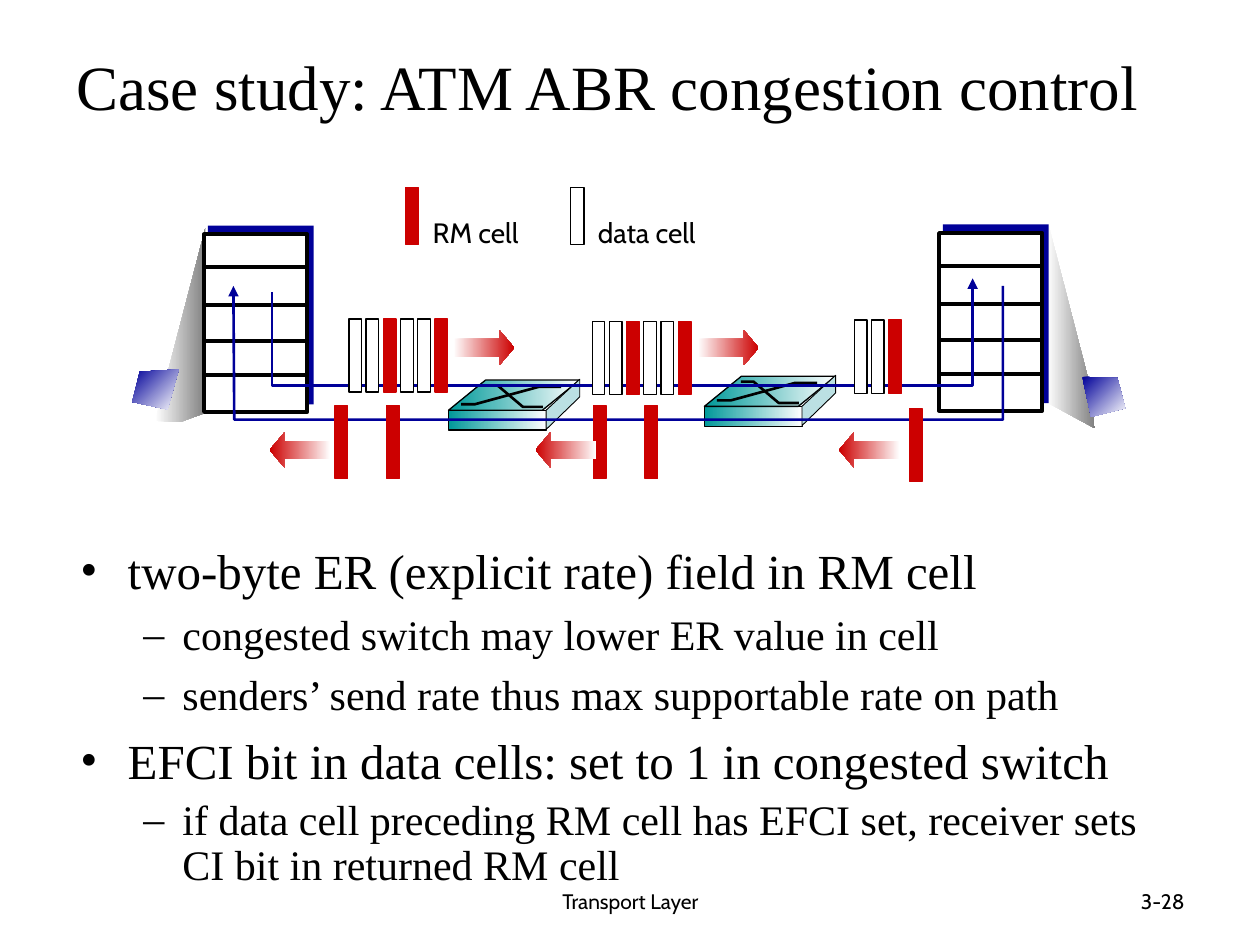
from typing import NamedTuple, Optional

from lxml.etree import SubElement
from pptx import Presentation
from pptx.dml.color import RGBColor as Rgb
from pptx.enum.shapes import MSO_CONNECTOR as Connector, MSO_SHAPE as Preset
from pptx.enum.text import MSO_ANCHOR as Anchor, MSO_AUTO_SIZE as AutoSize, PP_ALIGN as Align
from pptx.oxml.ns import qn
from pptx.util import Pt

COLORS = {
    "black": "000000", "white": "FFFFFF", "red": "CC0000", "navy": "000099",
    "teal": "009999", "pale": "BBE0E3", "gray": "808080",
}
SERIF, SANS = "Times New Roman", "Cabin"


class Look(NamedTuple):
    fill: Optional[str] = None
    fade_to: Optional[str] = None
    angle: int = 0
    line: Optional[str] = None
    width: float = 0.75


class Point(NamedTuple):
    x: float
    y: float


class CellRow(NamedTuple):
    left: float
    top: float
    cells: str


class Bullet(NamedTuple):
    text: str
    level: int
    before: float
    spacing: float = 1.0


RM_LOOK = Look("red", line="red")
DATA_LOOK = Look("white", line="black")
METAL = Look("teal", "white", line="black")
SHADE = Look("white", "gray")
FLAG = Look("navy", "white", 315)
ARROW = Look("white", "red")
WIRE = Look(line="navy", width=1.5)

SWITCHES = [Point(402.5, 215), Point(256.3, 217.2)]
FORWARD_ROWS = [CellRow(199.4, 182.2, "DDRDDR"), CellRow(338.4, 183.6, "DDRDDR"),
                CellRow(488.2, 182.9, "DDR")]
RETURN_ROWS = [CellRow(519.8, 233.3, "R"), CellRow(339.1, 231.8, "R  R"),
               CellRow(191.5, 231.8, "R  R")]
FORWARD_ARROWS = [Point(259.2, 188.6), Point(398.9, 188.6)]
RETURN_ARROWS = [Point(154.1, 247), Point(306, 247), Point(479.5, 247)]
BULLETS = [
    Bullet("two-byte ER (explicit rate) field in RM cell", 0, 0),
    Bullet("congested switch may lower ER value in cell", 1, 5.5),
    Bullet("senders’ send rate thus max supportable rate on path", 1, 5.5),
    Bullet("EFCI bit in data cells: set to 1 in congested switch", 0, 6.4),
    Bullet("if data cell preceding RM cell has EFCI set, receiver sets CI bit in "
           "returned RM cell", 1, 5.5, 0.9),
]


def color(name: str) -> Rgb:
    return Rgb.from_string(COLORS[name])


def dress(shape, look: Look):
    shape.shadow.inherit = False
    if look.fade_to:
        shape.fill.gradient()
        shape.fill.gradient_angle = look.angle
        for stop, name in zip(shape.fill.gradient_stops, (look.fill, look.fade_to)):
            stop.color.rgb = color(name)
            stop.position = 0 if name == look.fill else 1
    elif look.fill:
        shape.fill.solid()
        shape.fill.fore_color.rgb = color(look.fill)
    else:
        shape.fill.background()
    if look.line:
        shape.line.color.rgb = color(look.line)
        shape.line.width = Pt(look.width)
    else:
        shape.line.fill.background()
    return shape


def preset(page, kind, left: float, top: float, width: float, height: float, look: Look):
    shape = page.shapes.add_shape(kind, Pt(left), Pt(top), Pt(width), Pt(height))
    return dress(shape, look)


def outline(page, points, look: Look, origin: Point = Point(0, 0)):
    corners = [(Pt(origin.x + x), Pt(origin.y + y)) for x, y in points]
    builder = page.shapes.build_freeform(*corners[0])
    builder.add_line_segments(corners[1:], close=look.fill is not None)
    return dress(builder.convert_to_shape(), look)


def rule(page, left: float, right: float, y: float) -> None:
    line = page.shapes.add_connector(Connector.STRAIGHT, Pt(left), Pt(y), Pt(right), Pt(y))
    line.line.color.rgb = color("black")
    line.line.width = Pt(2.25)
    SubElement(line._element.spPr, qn("a:effectLst"))


def write(para, text: str, *, size: float, font: str = SANS, align=Align.LEFT) -> None:
    para.alignment = align
    span = para.add_run()
    span.text = text
    span.font.size = Pt(size)
    span.font.name = font
    span.font.color.rgb = color("black")


def text_box(page, left: float, top: float, width: float, height: float,
             wrap: bool = True, anchor=Anchor.TOP):
    box = page.shapes.add_textbox(Pt(left), Pt(top), Pt(width), Pt(height))
    box.text_frame.word_wrap = wrap
    box.text_frame.vertical_anchor = anchor
    return box.text_frame


def draw_switch(page, origin: Point) -> None:
    preset(page, Preset.RECTANGLE, origin.x, origin.y + 17.2, 56, 11.4, METAL)
    top = preset(page, Preset.PARALLELOGRAM, origin.x, origin.y, 74.8, 17.2, METAL)
    top.adjustments[0] = 1.23
    outline(page, [(55.8, 17.2), (55.8, 28.2), (75, 9.6), (75, -0.5)],
            Look("pale", line="black", width=0.5), origin)
    stroke = Look(line="black", width=1.5)
    outline(page, [(7.2, 13.8), (15.1, 13.8), (51.8, 3.8), (64.4, 3.8)], stroke, origin)
    outline(page, [(20.9, 3.1), (28.1, 3.1), (42.5, 15.3), (54, 15.3)], stroke, origin)


def draw_tower(page, left: float, top: float) -> None:
    preset(page, Preset.RECTANGLE, left + 2.2, top - 5, 60.5, 102.2, Look("navy"))
    preset(page, Preset.RECTANGLE, left, top, 59, 101.5,
           Look("white", line="black", width=2.25))
    for drop in (18.7, 40.3, 61.2, 80.6):
        rule(page, left, left + 58.6, top + drop)


def draw_wire(page, points, arrow_end: str) -> None:
    wire = outline(page, points, WIRE)
    SubElement(wire.line._get_or_add_ln(), qn("a:" + arrow_end), type="triangle")


def draw_cells(page, row: CellRow) -> None:
    for index, kind in enumerate(row.cells):
        if kind != " ":
            preset(page, Preset.RECTANGLE, row.left + index * 9.85, row.top, 7.2, 41.8,
                   RM_LOOK if kind == "R" else DATA_LOOK)


def draw_arrow(page, place: Point, rotation: int = 0) -> None:
    arrow = preset(page, Preset.RIGHT_ARROW, place.x, place.y, 34.6, 20.2, ARROW)
    arrow.adjustments[1] = 0.42
    arrow.rotation = rotation


def draw_legend(page, left: float, width: float, text: str, look: Look) -> None:
    preset(page, Preset.RECTANGLE, left, 107.3, 7.6, 32.4, look)
    frame = text_box(page, left + 8.4, 119.5, width, 26.6, wrap=False)
    frame.auto_size = AutoSize.SHAPE_TO_FIT_TEXT
    write(frame.paragraphs[0], text, size=16)


def draw_bullets(page) -> None:
    frame = text_box(page, 38.9, 305.3, 633.6, 196.6)
    for index, item in enumerate(BULLETS):
        para = frame.add_paragraph() if index else frame.paragraphs[0]
        margin, hang, mark, size = ((27, 27, "•", 28), (58.3, 22.3, "–", 24))[item.level]
        para.level = item.level
        para.space_before = Pt(item.before)
        para.line_spacing = item.spacing
        props = para._p.get_or_add_pPr()
        props.set("marL", str(Pt(margin)))
        props.set("indent", str(-Pt(hang)))
        SubElement(props, qn("a:buFont"), typeface=SERIF)
        SubElement(props, qn("a:buChar"), char=mark)
        write(para, item.text, size=size, font=SERIF)


def main() -> None:
    deck = Presentation()
    deck.slide_width, deck.slide_height = Pt(720), Pt(540)
    page = deck.slides.add_slide(deck.slide_layouts[5])

    title = page.shapes.title
    title.left, title.top, title.width, title.height = Pt(32.4), Pt(11.5), Pt(629.3), Pt(74.9)
    title.text_frame.vertical_anchor = Anchor.MIDDLE
    write(title.text_frame.paragraphs[0], "Case study: ATM ABR congestion control",
          size=36, font=SERIF, align=Align.CENTER)
    draw_bullets(page)

    for place in SWITCHES:
        draw_switch(page, place)
    outline(page, [(88.6, 240.5), (117.4, 130.3), (116.6, 236.2), (103, 241.2)], SHADE)
    draw_tower(page, 116.6, 133.9)
    outline(page, [(622.8, 220.3), (598.3, 125.3), (599, 230.4), (625.7, 244.8)], SHADE)
    draw_tower(page, 536.6, 133.2)
    draw_wire(page, [(155.5, 167), (155.5, 220.3), (555.8, 220.3), (555.8, 159.1)], "tailEnd")
    draw_wire(page, [(133.4, 163.4), (133.9, 239.8), (573.1, 239.8), (573.1, 163.4)], "headEnd")

    for row in FORWARD_ROWS:
        draw_cells(page, row)
    for place in FORWARD_ARROWS:
        draw_arrow(page, place)
    for row in RETURN_ROWS:
        draw_cells(page, row)
    for place in RETURN_ARROWS:
        draw_arrow(page, place, 180)

    draw_legend(page, 231.8, 64.8, "RM cell", RM_LOOK)
    draw_legend(page, 326.2, 73.4, "data cell", DATA_LOOK)
    outline(page, [(102.2, 211), (79.9, 212.4), (75.6, 229.7), (95.8, 234)], FLAG)
    outline(page, [(618.5, 215.3), (638.6, 216), (643, 233.3), (623.5, 238.3)], FLAG)

    footer = text_box(page, 246.2, 500.4, 228.2, 28.8, anchor=Anchor.MIDDLE)
    write(footer.paragraphs[0], "Transport Layer", size=12, align=Align.CENTER)
    number = text_box(page, 516.2, 500.4, 167.8, 28.8, anchor=Anchor.MIDDLE)
    write(number.paragraphs[0], "3-28", size=12, align=Align.RIGHT)
    deck.save("out.pptx")


if __name__ == "__main__":
    main()
